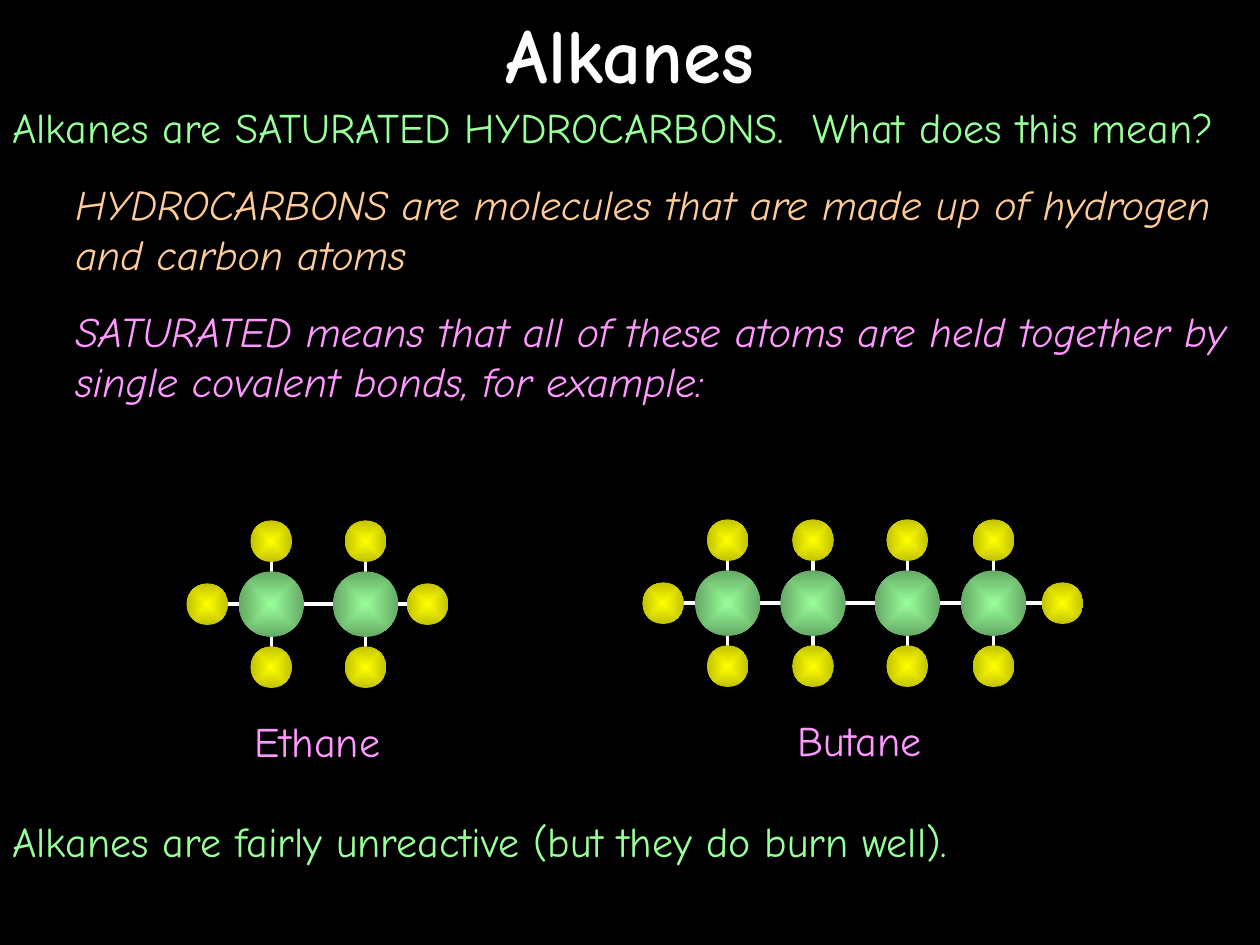
from lxml import etree
from pptx import Presentation
from pptx.dml.color import RGBColor
from pptx.enum.shapes import MSO_CONNECTOR, MSO_SHAPE
from pptx.enum.text import MSO_ANCHOR, MSO_AUTO_SIZE, PP_ALIGN
from pptx.oxml import parse_xml
from pptx.oxml.ns import nsdecls, qn
from pptx.util import Cm, Pt

FONT = "Comic Neue"
BLACK = RGBColor(0x00, 0x00, 0x00)
WHITE = RGBColor(0xFF, 0xFF, 0xFF)
GREEN = RGBColor(0x99, 0xFF, 0x99)
DARK_GREEN = RGBColor(0x65, 0xA8, 0x65)
YELLOW = RGBColor(0xFF, 0xFF, 0x00)
DARK_YELLOW = RGBColor(0xC2, 0xC2, 0x00)
ORANGE = RGBColor(0xFF, 0xCC, 0x99)
PINK = RGBColor(0xFF, 0x99, 0xFF)

CARBON = (1.32, GREEN, DARK_GREEN)
HYDROGEN = (0.84, YELLOW, DARK_YELLOW)
BOND_LENGTH = 1.27


def add_text(shapes, left, top, width, height, lines, align=PP_ALIGN.LEFT):
    """Add a text box; each line is (text, colour, indent level, italic)."""
    box = shapes.add_textbox(Cm(left), Cm(top), Cm(width), Cm(height))
    frame = box.text_frame
    frame.word_wrap = True
    frame.auto_size = MSO_AUTO_SIZE.SHAPE_TO_FIT_TEXT
    for index, (text, color, level, italic) in enumerate(lines):
        paragraph = frame.add_paragraph() if index else frame.paragraphs[0]
        run = paragraph.add_run()
        run.text = text
        paragraph.level = level
        paragraph.alignment = align
        paragraph.space_before = Pt(15 if index else 0)
        properties = paragraph._p.get_or_add_pPr()
        properties.set("marL", str(Cm(1.27 * level)))
        properties.set("indent", "0")
        for name, value in {"name": FONT, "size": Pt(24), "italic": italic}.items():
            setattr(run.font, name, value)
        run.font.color.rgb = color


def add_atom(shapes, x, y, element):
    """Add a ball centred on (x, y), shaded from its centre outwards."""
    diameter, inner, outer = element
    atom = shapes.add_shape(MSO_SHAPE.OVAL, Cm(x - diameter / 2),
                            Cm(y - diameter / 2), Cm(diameter), Cm(diameter))
    atom.shadow.inherit = False
    atom.line.fill.background()
    atom.fill.gradient()
    for stop, position, color in zip(atom.fill.gradient_stops, (0, 1), (inner, outer)):
        stop.position = position
        stop.color.rgb = color
    gradient = atom._element.spPr.find(qn("a:gradFill"))
    gradient.replace(gradient.find(qn("a:lin")), parse_xml(
        f'<a:path {nsdecls("a")} path="rect">'
        '<a:fillToRect l="50000" t="50000" r="50000" b="50000"/></a:path>'))


presentation = Presentation()
presentation.slide_width = Cm(25.4)
presentation.slide_height = Cm(19.05)
slide = presentation.slides.add_slide(presentation.slide_layouts[5])
slide.background.fill.solid()
slide.background.fill.fore_color.rgb = BLACK

title = slide.shapes.title
for name, value in {"left": 0, "top": 0, "width": Cm(25.4), "height": Cm(2.13)}.items():
    setattr(title, name, value)
title.text_frame.text = "Alkanes"
title.text_frame.auto_size = MSO_AUTO_SIZE.NONE
title.text_frame.vertical_anchor = MSO_ANCHOR.MIDDLE
heading = title.text_frame.paragraphs[0]
heading.alignment = PP_ALIGN.CENTER
for name, value in {"name": FONT, "size": Pt(44), "bold": True}.items():
    setattr(heading.runs[0].font, name, value)
heading.runs[0].font.color.rgb = WHITE

add_text(slide.shapes, 0, 1.93, 25.4, 6.4, [
    ("Alkanes are SATURATED HYDROCARBONS.  What does this mean?", GREEN, 0, False),
    ("HYDROCARBONS are molecules that are made up of hydrogen and carbon atoms",
     ORANGE, 1, True),
    ("SATURATED means that all of these atoms are held together by single "
     "covalent bonds, for example:", PINK, 1, True),
])

# Name, label left, chain height, carbon columns, outer hydrogens (cm)
molecules = [
    ("Ethane", 4.39, 12.18, (5.47, 7.37), (4.18, 8.62)),
    ("Butane", 15.32, 12.16, (14.67, 16.39, 18.29, 20.03), (13.37, 21.42)),
]
for name, label_left, chain_y, columns, ends in molecules:
    shapes = slide.shapes.add_group_shape().shapes
    upper, lower = chain_y - BOND_LENGTH, chain_y + BOND_LENGTH
    bonds = [(x, upper, x, lower) for x in columns]
    bonds.append((ends[0], chain_y, ends[1], chain_y))
    for bond in bonds:
        connector = shapes.add_connector(MSO_CONNECTOR.STRAIGHT, *map(Cm, bond))
        connector.line.color.rgb = WHITE
        connector.line.width = Pt(2)
        etree.SubElement(connector._element.spPr, qn("a:effectLst"))
    for x in columns:
        add_atom(shapes, x, chain_y, CARBON)
        for y in (upper, lower):
            add_atom(shapes, x, y, HYDROGEN)
    for x in ends:
        add_atom(shapes, x, chain_y, HYDROGEN)
    add_text(shapes, label_left, chain_y + 2.12, 4.01, 1.27,
             [(name, PINK, 0, False)], PP_ALIGN.CENTER)

add_text(slide.shapes, 0, 16.31, 25.4, 1.27, [
    ("Alkanes are fairly unreactive (but they do burn well).", GREEN, 0, False),
])

presentation.save("out.pptx")
